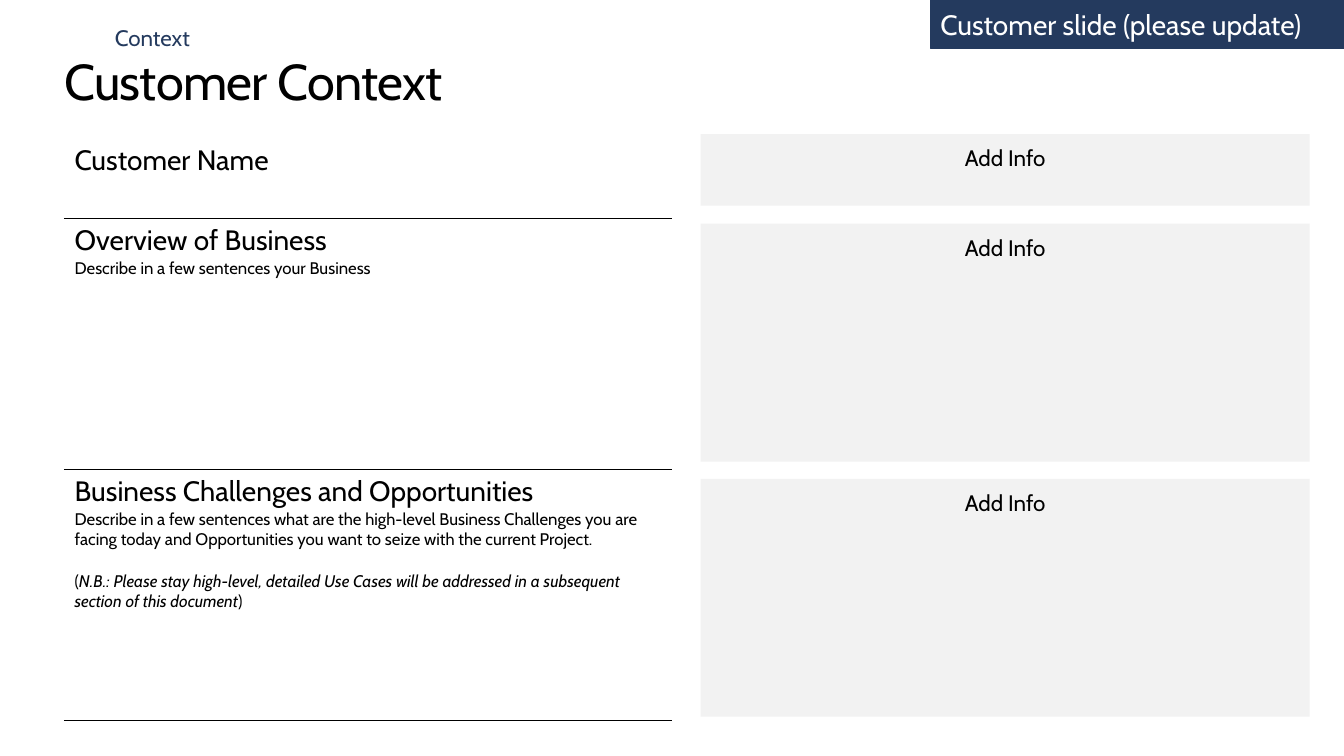
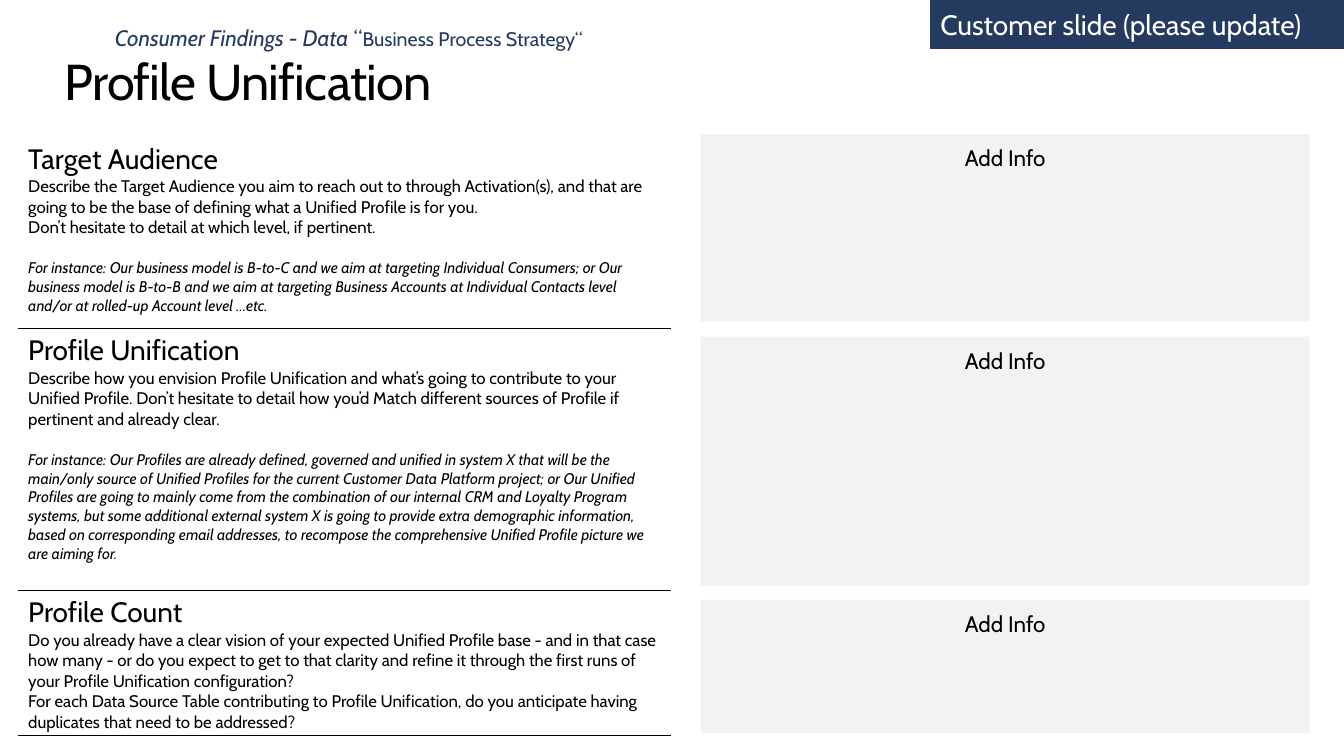
import pptx
import pptx.util
import pptx.dml.color
import pptx.enum.shapes
import pptx.enum.text
from lxml import etree

PX = 9144
RGB = pptx.dml.color.RGBColor
NAVY = RGB(0x24, 0x3A, 0x5E)
BLACK = RGB(0, 0, 0)
WHITE = RGB(255, 255, 255)
GREY = RGB(0xF2, 0xF2, 0xF2)
FACE = "Cabin"
NS = "http://schemas.openxmlformats.org/drawingml/2006/main"
ALIGN = pptx.enum.text.PP_ALIGN
ANCHOR = pptx.enum.text.MSO_ANCHOR
RECT = pptx.enum.shapes.MSO_SHAPE.RECTANGLE

# style: size, italic, space before
STYLES = {
    "head": (20, False, 0),
    "body": (12, False, 0),
    "note": (12, None, 15),
    "hint": (11, True, 15),
}

SLIDES = [
    {
        "title": "Customer Context",
        "kicker": [("Context", 16, False)],
        "width": 77,
        "table": (64, 137, 602),
        "rows": [80, 249, 249],
        "panels": [(133, 71), (222, 236), (475, 236)],
        "cells": [
            [("head", "Customer Name")],
            [("head", "Overview of Business"),
             ("body", "Describe in a few sentences your Business")],
            [("head", "Business Challenges and Opportunities"),
             ("body", "Describe in a few sentences what are the high-level Business Challenges you are "
                      "facing today and Opportunities you want to seize with the current Project."),
             ("note", [("(", False),
                       ("N.B.: Please stay high-level, detailed Use Cases will be addressed in a "
                        "subsequent section of this document", True),
                       (")", False)])],
        ],
    },
    {
        "title": "Profile Unification",
        "kicker": [("Consumer Findings - Data", 16, True), (" “", 16, False),
                   ("Business Process Strategy“", 14, False)],
        "width": 485,
        "table": (18, 136, 647),
        "rows": [190, 260, 143],
        "panels": [(133, 186), (334, 247), (595, 132)],
        "cells": [
            [("head", "Target Audience"),
             ("body", "Describe the Target Audience you aim to reach out to through Activation(s), and that "
                      "are going to be the base of defining what a Unified Profile is for you."),
             ("body", "Don’t hesitate to detail at which level, if pertinent."),
             ("hint", "For instance: Our business model is B-to-C and we aim at targeting Individual "
                      "Consumers; or Our business model is B-to-B and we aim at targeting Business Accounts "
                      "at Individual Contacts level and/or at rolled-up Account level …etc.")],
            [("head", "Profile Unification"),
             ("body", "Describe how you envision Profile Unification and what’s going to contribute to your "
                      "Unified Profile. Don’t hesitate to detail how you’d Match different sources of "
                      "Profile if pertinent and already clear."),
             ("hint", "For instance: Our Profiles are already defined, governed and unified in system X that "
                      "will be the main/only source of Unified Profiles for the current Customer Data "
                      "Platform project; or Our Unified Profiles are going to mainly come from the "
                      "combination of our internal CRM and Loyalty Program systems, but some additional "
                      "external system X is going to provide extra demographic information, based on "
                      "corresponding email addresses, to recompose the comprehensive Unified Profile "
                      "picture we are aiming for.")],
            [("head", "Profile Count"),
             ("body", "Do you already have a clear vision of your expected Unified Profile base - and in that "
                      "case how many - or do you expect to get to that clarity and refine it through the "
                      "first runs of your Profile Unification configuration?"),
             ("body", "For each Data Source Table contributing to Profile Unification, do you anticipate "
                      "having duplicates that need to be addressed?")],
        ],
    },
]


def px(*nums):
    return [pptx.util.Emu(num * PX) for num in nums]


def style(font, size, color=BLACK, italic=None):
    font.name = FACE
    font.size = pptx.util.Pt(size)
    font.color.rgb = color
    font.italic = italic


def inset(frame, left, top, right, base):
    (frame.margin_left, frame.margin_top,
     frame.margin_right, frame.margin_bottom) = px(left, top, right, base)


def add_title(slide, text):
    title = slide.shapes.title
    title.left, title.top, title.width, title.height = px(64, 50, 1205, 61)
    frame = title.text_frame
    frame.text = text
    frame.vertical_anchor = ANCHOR.TOP
    inset(frame, 0, 0, 0, 0)
    para = frame.paragraphs[0]
    para.alignment = ALIGN.LEFT
    style(para.font, 36)
    para.runs[0]._r.get_or_add_rPr().set("spc", "-50")
    style(para.runs[0].font, 36)


def add_kicker(slide, parts, width):
    frame = slide.shapes.add_textbox(*px(114, 24, width, 27)).text_frame
    frame.word_wrap = False
    inset(frame, 0, 0, 0, 0)
    for text, size, italic in parts:
        run = frame.paragraphs[0].add_run()
        run.text = text
        style(run.font, size, NAVY, italic)


def add_box(slide, box, text, fill, size, color, align, anchor):
    shape = slide.shapes.add_shape(RECT, *px(*box))
    shape.shadow.inherit = False
    shape.fill.solid()
    shape.fill.fore_color.rgb = fill
    shape.line.fill.background()
    frame = shape.text_frame
    frame.word_wrap = True
    frame.vertical_anchor = anchor
    frame.text = text
    para = frame.paragraphs[0]
    para.alignment = align
    style(para.font, size, color)
    return shape


def add_band(slide):
    band = add_box(slide, (923, 0, 410, 48), "Customer slide (please update)",
                   NAVY, 20, WHITE, ALIGN.LEFT, ANCHOR.MIDDLE)
    band.line.color.rgb = NAVY
    band.line.width = pptx.util.Pt(0.25)


def add_panel(slide, top, height):
    panel = add_box(slide, (695, top, 604, height), "Add Info",
                    GREY, 16, BLACK, ALIGN.CENTER, ANCHOR.TOP)
    inset(panel.text_frame, 10, 10, 10, 5)


def add_rule(cell, side):
    line = etree.Element(f"{{{NS}}}{side}", w="12700")
    fill = etree.SubElement(line, f"{{{NS}}}solidFill")
    etree.SubElement(fill, f"{{{NS}}}srgbClr", val=str(BLACK))
    cell._tc.get_or_add_tcPr().insert(0, line)


def fill_cell(cell, paras):
    frame = cell.text_frame
    for spot, (kind, text) in enumerate(paras):
        para = frame.add_paragraph() if spot else frame.paragraphs[0]
        size, italic, gap = STYLES[kind]
        if gap:
            para.space_before = pptx.util.Pt(gap)
        style(para.font, size, BLACK, italic)
        parts = [(text, None)] if isinstance(text, str) else text
        for words, slant in parts:
            run = para.add_run()
            run.text = words
            run.font.italic = slant


def add_grid(slide, place, rows, cells):
    left, top, width = place
    grid = slide.shapes.add_table(len(rows), 1, *px(left, top, width, sum(rows))).table
    grid.first_row = grid.horz_banding = False
    for spot, (height, paras) in enumerate(zip(rows, cells)):
        grid.rows[spot].height = px(height)[0]
        cell = grid.cell(spot, 0)
        cell.fill.background()
        fill_cell(cell, paras)
        add_rule(cell, "lnB")
        if spot:
            add_rule(cell, "lnT")


def main():
    deck = pptx.Presentation()
    deck.slide_width, deck.slide_height = px(1333, 750)
    for page in SLIDES:
        slide = deck.slides.add_slide(deck.slide_layouts[5])
        add_title(slide, page["title"])
        add_kicker(slide, page["kicker"], page["width"])
        add_grid(slide, page["table"], page["rows"], page["cells"])
        for top, height in page["panels"]:
            add_panel(slide, top, height)
        add_band(slide)
    deck.save("out.pptx")


if __name__ == "__main__":
    main()
